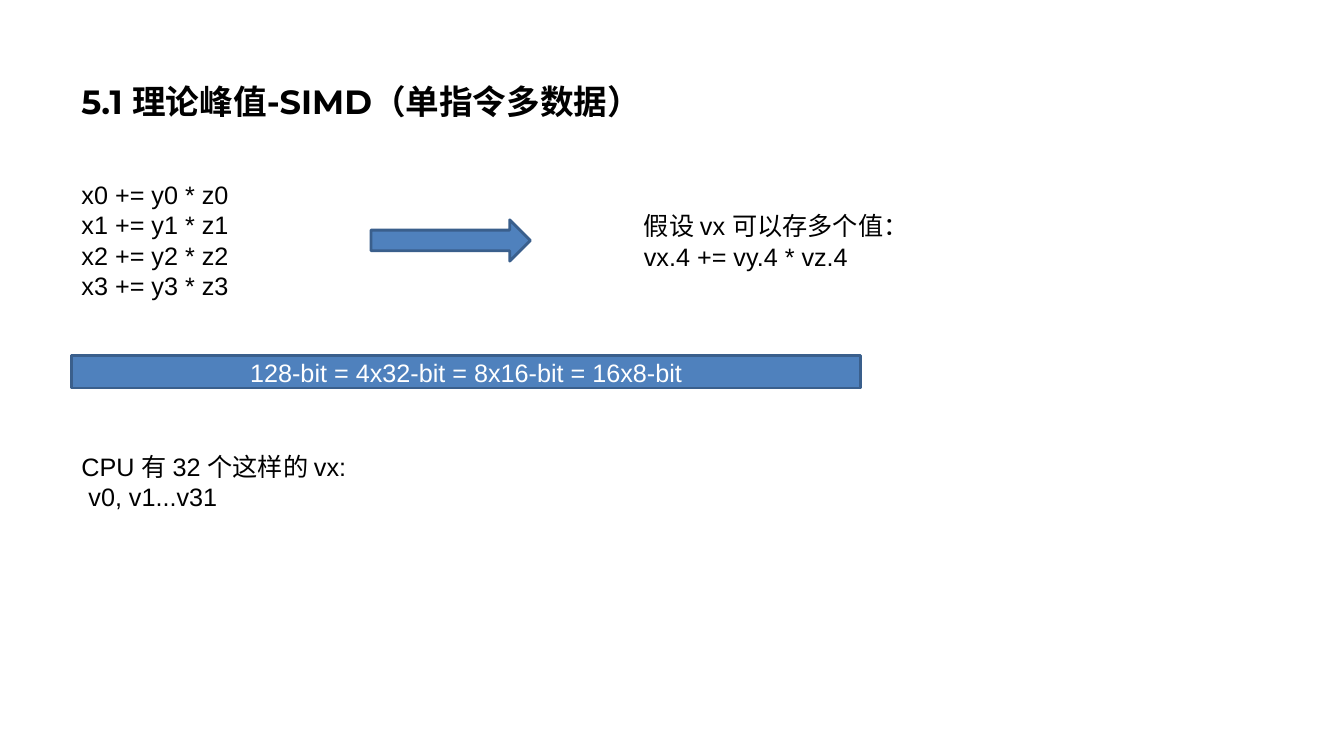
import pptx
import pptx.util
import pptx.dml.color
import pptx.enum.shapes
import pptx.enum.text

Pt = pptx.util.Pt
SHAPES = pptx.enum.shapes.MSO_SHAPE
ANCHORS = pptx.enum.text.MSO_ANCHOR
ALIGNMENTS = pptx.enum.text.PP_ALIGN

# Content
COLORS = {"text": "000000", "light": "FFFFFF", "fill": "4F81BD", "line": "3A5F8C"}
TITLE = ["5.1 理论峰值-SIMD（单指令多数据）"]
SCALAR_CODE = [f"x{lane} += y{lane} * z{lane}" for lane in range(4)]
VECTOR_CODE = ["假设 vx 可以存多个值：", "vx.4 += vy.4 * vz.4"]
REGISTER_WIDTH = ["128-bit = 4x32-bit = 8x16-bit = 16x8-bit"]
REGISTER_COUNT = ["CPU 有 32 个这样的 vx:", " v0, v1...v31"]

# Formats
BODY = {"name": "Arial", "size": Pt(18), "bold": False}
HEADING = {"name": "Montserrat", "size": Pt(24), "bold": True}
LEFT = 51.1

# Boxes in points: left, top, width, height
TEXT_BOXES = [
    (TITLE, (LEFT, 20.2, 828, 104.4), HEADING, {"vertical_anchor": ANCHORS.MIDDLE}),
    (VECTOR_CODE, (452.9, 146.9, 211.7, 50.4), BODY, {"word_wrap": False}),
    (SCALAR_CODE, (LEFT, 124.6, 236.2, 93.6), BODY, {}),
    (REGISTER_COUNT, (LEFT, 319, 390.2, 50.4), BODY, {}),
]
ARROW_BOX = (265, 157, 113.8, 29.5)
REGISTER_BOX = (LEFT, 254.2, 563.8, 23)


def rgb(name):
    return pptx.dml.color.RGBColor.from_string(COLORS[name])


def write_lines(shape, lines, font_format, frame_format, color="text", alignment=ALIGNMENTS.LEFT):
    frame = shape.text_frame
    settings = {"word_wrap": True, "margin_left": Pt(7.2), "margin_right": Pt(7.2),
                "margin_top": Pt(3.6), "margin_bottom": Pt(3.6), **frame_format}
    for name, value in settings.items():
        setattr(frame, name, value)
    for index, line in enumerate(lines):
        paragraph = frame.paragraphs[0] if index == 0 else frame.add_paragraph()
        paragraph.alignment = alignment
        run = paragraph.add_run()
        run.text = line
        for name, value in font_format.items():
            setattr(run.font, name, value)
        run.font.color.rgb = rgb(color)


def add_blue_shape(slide, kind, box):
    shape = slide.shapes.add_shape(kind, *map(Pt, box))
    shape.shadow.inherit = False
    shape.fill.solid()
    shape.fill.fore_color.rgb = rgb("fill")
    shape.line.color.rgb = rgb("line")
    shape.line.width = Pt(2)
    return shape


def main():
    presentation = pptx.Presentation()
    presentation.slide_width, presentation.slide_height = Pt(960), Pt(540)
    slide = presentation.slides.add_slide(presentation.slide_layouts[6])

    # Title, code and register notes
    for lines, box, font_format, frame_format in TEXT_BOXES:
        text_box = slide.shapes.add_textbox(*map(Pt, box))
        write_lines(text_box, lines, font_format, frame_format)

    # Arrow from scalar to vector code
    add_blue_shape(slide, SHAPES.RIGHT_ARROW, ARROW_BOX)

    # Register bar
    register = add_blue_shape(slide, SHAPES.RECTANGLE, REGISTER_BOX)
    write_lines(register, REGISTER_WIDTH, BODY, {"vertical_anchor": ANCHORS.MIDDLE},
                "light", ALIGNMENTS.CENTER)

    presentation.save("out.pptx")


if __name__ == "__main__":
    main()
